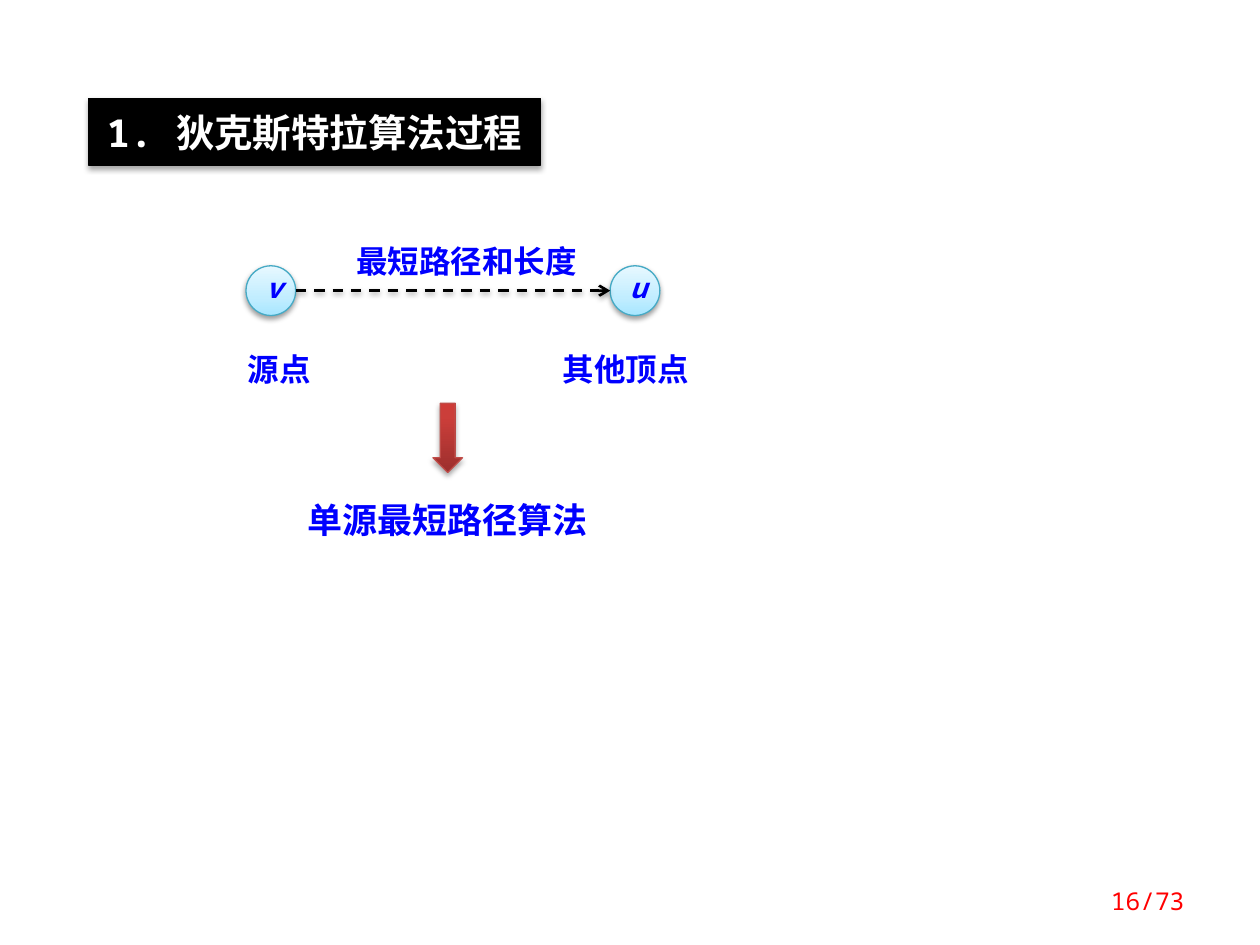
from pptx import Presentation
from pptx.dml.color import RGBColor
from pptx.enum.dml import MSO_LINE
from pptx.enum.shapes import MSO_CONNECTOR, MSO_SHAPE
from pptx.enum.text import MSO_ANCHOR as ANCHOR, PP_ALIGN as ALIGN
from pptx.oxml import parse_xml
from pptx.oxml.ns import nsdecls, qn
from pptx.util import Pt

MONO, CJK = "Noto Sans Mono", "Noto Sans CJK SC"
BLACK, BLUE = "000000", "0000FF"
SKY = [(0, "A7E6FF"), (35, "C1EDFF"), (100, "E7F8FF")]
RED = [(0, "9C2F2D"), (80, "CB3E3A"), (100, "CE3B37")]
rgb = RGBColor.from_string


def write(sp, text, color, frame=None, para=None, **font):
    """Put one run in a shape; frame, para and font hold format values."""
    tf = sp.text_frame
    p = tf.paragraphs[0]
    r = p.add_run()
    r.text = text
    r.font.color.rgb = rgb(color)
    formats = [(tf, {"word_wrap": True, **(frame or {})}),
               (p, {"alignment": ALIGN.LEFT, **(para or {})}),
               (r.font, {"name": MONO, **font})]
    for target, values in formats:
        for key, value in values.items():
            setattr(target, key, value)
    ea = parse_xml(f'<a:ea {nsdecls("a")} typeface="{CJK}"/>')
    r.font._element.find(qn("a:latin")).addnext(ea)


def cast_shadow(sp, alpha, dist):
    sp_pr = sp._element.spPr
    old = sp_pr.find(qn("a:effectLst"))
    if old is not None:
        sp_pr.remove(old)
    sp_pr.append(parse_xml(
        f'<a:effectLst {nsdecls("a")}><a:outerShdw blurRad="{Pt(3.1)}" '
        f'dist="{Pt(dist)}" dir="5400000" rotWithShape="0">'
        f'<a:srgbClr val="{BLACK}"><a:alpha val="{alpha * 1000}"/></a:srgbClr>'
        f'</a:outerShdw></a:effectLst>'))


prs = Presentation()
prs.slide_width, prs.slide_height = Pt(720), Pt(540)
s = prs.slides.add_slide(prs.slide_layouts[6])

# Title bar
sp = s.shapes.add_shape(MSO_SHAPE.RECTANGLE, Pt(50.4), Pt(56.2), Pt(258.5), Pt(38.2))
sp.fill.solid()
sp.fill.fore_color.rgb = rgb(BLACK)
sp.line.color.rgb = rgb(BLACK)
sp.line.width = Pt(0.75)
cast_shadow(sp, 35, 1.8)
write(sp, "1. 狄克斯特拉算法过程", "FFFFFF",
      frame={"margin_top": Pt(5.8), "margin_bottom": Pt(5.8)},
      para={"alignment": ALIGN.CENTER}, size=Pt(22), bold=True)

# Vertices and down arrow
NODE, NODE_TOP, V_LEFT, U_LEFT = 28.4, 151.9, 140.6, 348.7
gradient_shapes = [
    (MSO_SHAPE.OVAL, V_LEFT, NODE_TOP, NODE, NODE, SKY, "46AAC5", 38, 1.6, "v"),
    (MSO_SHAPE.OVAL, U_LEFT, NODE_TOP, NODE, NODE, SKY, "46AAC5", 38, 1.6, "u"),
    (MSO_SHAPE.DOWN_ARROW, 247.4, 230.4, 16.9, 39.6, RED, "BF4C48", 35, 1.8, ""),
]
for kind, x, y, w, h, stops, line, alpha, dist, name in gradient_shapes:
    sp = s.shapes.add_shape(kind, Pt(x), Pt(y), Pt(w), Pt(h))
    sp.fill.gradient()
    stop_xml = "".join(f'<a:gs pos="{pos * 1000}"><a:srgbClr val="{color}"/></a:gs>'
                       for pos, color in stops)
    grad = sp._element.spPr.find(qn("a:gradFill"))
    grad.getparent().replace(grad, parse_xml(
        f'<a:gradFill {nsdecls("a")} rotWithShape="1"><a:gsLst>{stop_xml}</a:gsLst>'
        f'<a:lin ang="16200000" scaled="0"/></a:gradFill>'))
    sp.line.color.rgb = rgb(line)
    sp.line.width = Pt(0.75)
    cast_shadow(sp, alpha, dist)
    if name:
        write(sp, name, BLUE, frame={"vertical_anchor": ANCHOR.MIDDLE},
              para={"line_spacing": 0.8}, size=Pt(16), bold=True, italic=True)

# Dashed path from v to u
mid = NODE_TOP + NODE / 2
path_line = s.shapes.add_connector(MSO_CONNECTOR.STRAIGHT, Pt(V_LEFT + NODE), Pt(mid),
                                   Pt(U_LEFT), Pt(mid))
path_line.line.color.rgb = rgb(BLACK)
path_line.line.width = Pt(1.5)
path_line.line.dash_style = MSO_LINE.DASH
path_line._element.spPr.find(qn("a:ln")).append(
    parse_xml(f'<a:tailEnd {nsdecls("a")} type="arrow"/>'))
cast_shadow(path_line, 38, 1.6)

# Labels and page number
bold18 = {"size": Pt(18), "bold": True}
labels = [
    ("源点", 134.6, 196.6, 61.9, 29.1, BLUE, bold18),
    ("其他顶点", 314.6, 196.6, 112.3, 29.1, BLUE, bold18),
    ("最短路径和长度", 196.6, 134.6, 146.2, 29.1, BLUE, bold18),
    ("单源最短路径算法", 168.5, 281.5, 185.8, 31.5, BLUE,
     {"size": Pt(20), "bold": True, "name": CJK}),
    ("16/73", 613.4, 500.4, 70.6, 28.8, "FF0000",
     {"size": Pt(14), "frame": {"vertical_anchor": ANCHOR.MIDDLE},
      "para": {"alignment": ALIGN.RIGHT}}),
]
for text, x, y, w, h, color, style in labels:
    sp = s.shapes.add_textbox(Pt(x), Pt(y), Pt(w), Pt(h))
    write(sp, text, color, **style)

prs.save("out.pptx")
